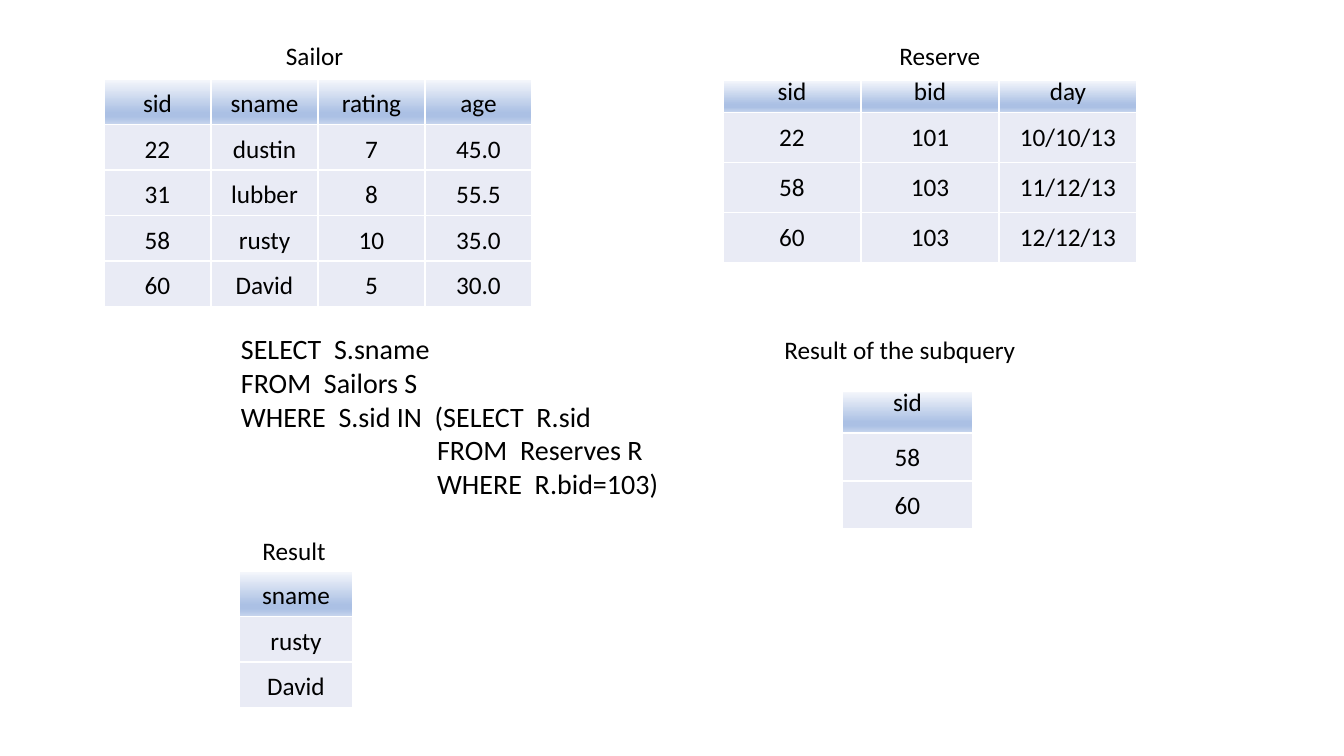
from lxml import etree
from pptx import Presentation
from pptx.dml.color import RGBColor
from pptx.enum.text import PP_ALIGN
from pptx.oxml.ns import qn
from pptx.util import Emu, Pt

LEFT, CENTER = PP_ALIGN.LEFT, PP_ALIGN.CENTER
FONT, BLACK, WHITE, BODY = "Calibri", "000000", "FFFFFF", "E9EBF5"
HEAD = [(0, "F6F8FC"), (74, "ABC0E4"), (83, "ABC0E4"), (100, "C7D5ED")]
TIGHT = Pt(16.1)

# Each table: left, top, column width, head height, row height, head spacing, rows
TABLES = [
    (104, 79, 107, 45, 45, 1.15, [
        ("sid", "sname", "rating", "age"),
        ("22", "dustin", "7", "45.0"),
        ("31", "lubber", "8", "55.5"),
        ("58", "rusty", "10", "35.0"),
        ("60", "David", "5", "30.0")]),
    (723, 80, 138, 31, 50, TIGHT, [
        ("sid", "bid", "day"),
        ("22", "101", "10/10/13"),
        ("58", "103", "11/12/13"),
        ("60", "103", "12/12/13")]),
    (842, 391, 131, 42, 48, TIGHT, [("sid",), ("58",), ("60",)]),
    (239, 571, 114, 45, 45, 1.15, [("sname",), ("rusty",), ("David",)]),
]

# Each title: text, left, top, width
TITLES = [
    ("Sailor", 275, 35, 79),
    ("Reserve", 889, 35, 102),
    ("Result of the subquery", 773, 329, 254),
    ("Result", 252, 530, 84),
]

QUERY = [
    "SELECT  S.sname",
    "FROM  Sailors S",
    "WHERE  S.sid IN  (SELECT  R.sid",
    "                               FROM  Reserves R",
    "                               WHERE  R.bid=103)",
]


def px(n):
    return Emu(round(n * 914400 / 100.8))


def rgb(code):
    return RGBColor.from_string(code)


def write(frame, lines, size=18, align=CENTER, space=None):
    for i, line in enumerate(lines):
        par = frame.paragraphs[0] if i == 0 else frame.add_paragraph()
        par.alignment = align
        par.line_spacing = space
        run = par.add_run()
        run.text = line
        run.font.size = Pt(size)
        run.font.name = FONT
        run.font.color.rgb = rgb(BLACK)


def add_color(parent, code):
    etree.SubElement(parent, qn("a:srgbClr"), val=code)


def add_edges(props):
    for side in ("L", "R", "T", "B"):
        line = etree.SubElement(props, qn("a:ln" + side), w=str(Pt(1)))
        add_color(etree.SubElement(line, qn("a:solidFill")), WHITE)


def add_blend(props):
    """Fill a head cell with the top-to-bottom gradient."""
    grad = etree.SubElement(props, qn("a:gradFill"), rotWithShape="1")
    stops = etree.SubElement(grad, qn("a:gsLst"))
    for part, code in HEAD:
        add_color(etree.SubElement(stops, qn("a:gs"), pos=str(part * 1000)), code)
    etree.SubElement(grad, qn("a:lin"), ang="5400000", scaled="0")


def add_grid(slide, left, top, wide, head, high, space, rows):
    cols = len(rows[0])
    full = head + high * (len(rows) - 1)
    table = slide.shapes.add_table(
        len(rows), cols, px(left), px(top), px(wide * cols), px(full)).table
    table.first_row = table.horz_banding = False
    for col in table.columns:
        col.width = px(wide)
    for r, row in enumerate(rows):
        table.rows[r].height = px(high if r else head)
        for c, text in enumerate(row):
            cell = table.cell(r, c)
            write(cell.text_frame, [text], space=1.15 if r else space)
            props = cell._tc.get_or_add_tcPr()
            add_edges(props)
            if r:
                cell.fill.solid()
                cell.fill.fore_color.rgb = rgb(BODY)
            else:
                add_blend(props)


def add_text(slide, lines, left, top, wide, high, wrap=False, **style):
    box = slide.shapes.add_textbox(px(left), px(top), px(wide), px(high))
    box.text_frame.word_wrap = wrap
    write(box.text_frame, lines, **style)


def main():
    deck = Presentation()
    deck.slide_width, deck.slide_height = px(1344), px(756)
    slide = deck.slides.add_slide(deck.slide_layouts[6])
    for grid in TABLES:
        add_grid(slide, *grid)
    add_text(slide, QUERY, 231, 327, 605, 211, wrap=True, size=20, align=LEFT)
    for text, left, top, wide in TITLES:
        add_text(slide, [text], left, top, wide, 40)
    deck.save("out.pptx")


if __name__ == "__main__":
    main()
